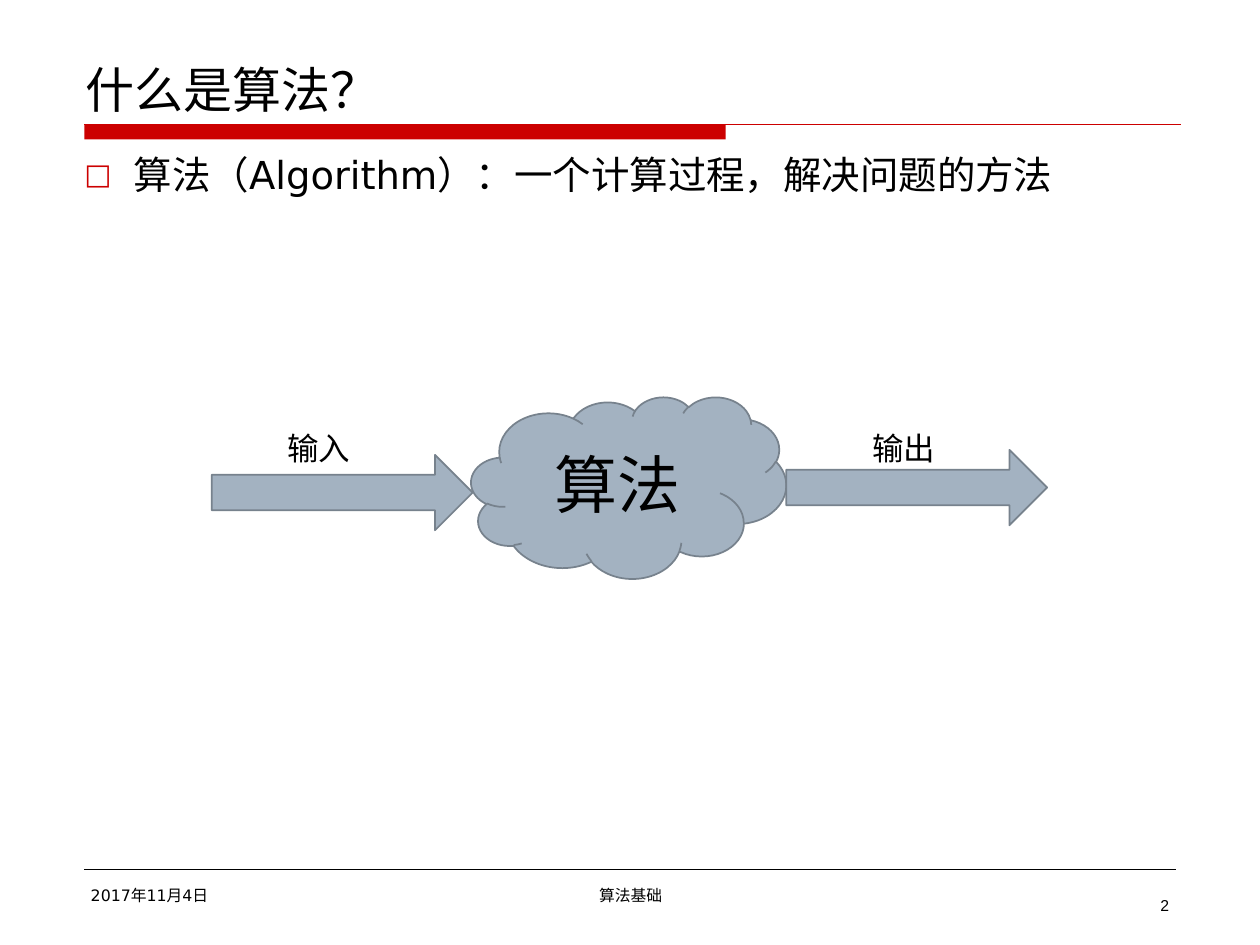
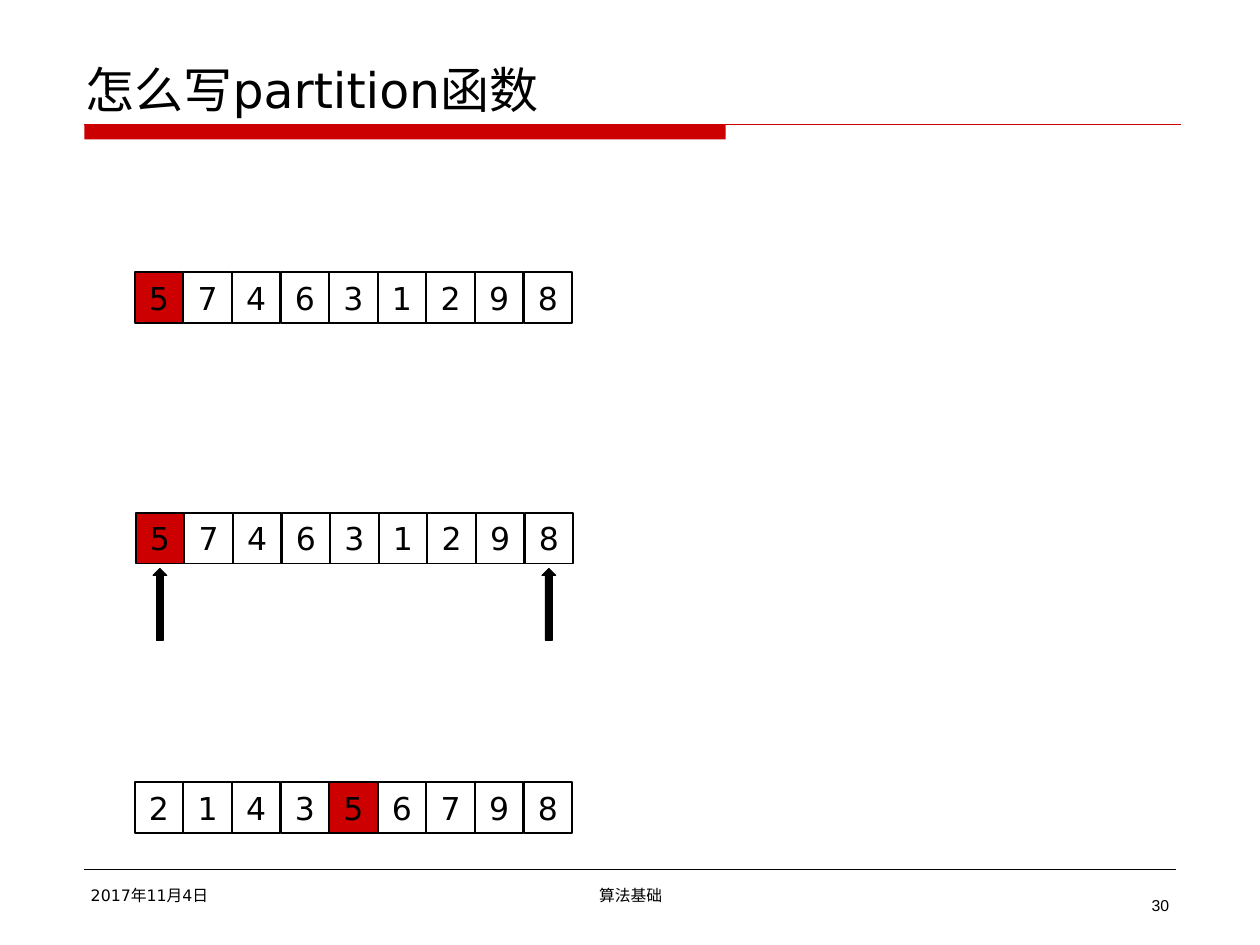
from dataclasses import dataclass

from lxml import etree
from pptx import Presentation
from pptx.dml.color import RGBColor
from pptx.enum.shapes import MSO_CONNECTOR, MSO_SHAPE
from pptx.enum.text import MSO_ANCHOR, MSO_AUTO_SIZE, PP_ALIGN
from pptx.oxml.ns import qn
from pptx.util import Cm, Pt

RECT, CLOUD = MSO_SHAPE.RECTANGLE, MSO_SHAPE.CLOUD
RIGHT_ARROW, UP_ARROW = MSO_SHAPE.RIGHT_ARROW, MSO_SHAPE.UP_ARROW
STRAIGHT = MSO_CONNECTOR.STRAIGHT
LEFT, CENTER, RIGHT = PP_ALIGN.LEFT, PP_ALIGN.CENTER, PP_ALIGN.RIGHT
TOP, MIDDLE, BOTTOM = MSO_ANCHOR.TOP, MSO_ANCHOR.MIDDLE, MSO_ANCHOR.BOTTOM
NO_AUTOSIZE = MSO_AUTO_SIZE.NONE

RED, BLACK, WHITE = "CC0000", "000000", "FFFFFF"
STEEL, STEEL_EDGE = "A3B2C1", "77828D"
LATIN, CJK, NUMBER_FONT = "DejaVu Sans", "Noto Sans CJK SC", "Arial"
INSET = 0.13

# Layouts of the default template
TITLE_AND_CONTENT, TITLE_ONLY = 1, 5

# Array cells, in cm
CELL_W, CELL_H, CELL_PITCH = 0.97, 1.02, 0.98
POINTER_W, POINTER_H, POINTER_DROP = 0.28, 1.45, 1.12


@dataclass(frozen=True)
class Box:
    left: float
    top: float
    width: float
    height: float

    def lengths(self) -> tuple:
        return Cm(self.left), Cm(self.top), Cm(self.width), Cm(self.height)


@dataclass(frozen=True)
class Label:
    text: str
    box: Box
    size: float
    align: PP_ALIGN = LEFT
    font: str = LATIN


@dataclass(frozen=True)
class ArrayRow:
    values: str
    pivot: int
    left: float
    top: float
    pointers: tuple = ()


FOOTERS = (
    Label("算法基础", Box(8.69, 17.73, 8.05, 0.71), 9, CENTER),
    Label("2017年11月4日", Box(1.7, 17.73, 5.51, 0.71), 9),
)
NUMBER_BOX = Box(22.7, 17.93, 1, 0.64)
TITLE_BOX = Box(1.6, 0.84, 22.23, 1.68)
BODY_BOX = Box(1.57, 2.92, 22.23, 13.79)

FLOW_ARROWS = (Box(4.27, 9.17, 5.26, 1.52), Box(15.85, 9.07, 5.26, 1.52))
FLOW_LABELS = (
    Label("输入", Box(5.66, 8.51, 2.01, 1.14), 18),
    Label("输出", Box(17.45, 8.51, 2.01, 1.14), 18),
)
ARRAY_ROWS = (
    ArrayRow("574631298", 0, 2.72, 5.49),
    ArrayRow("574631298", 0, 2.74, 10.34, (0, 8)),
    ArrayRow("214356798", 4, 2.72, 15.77),
)


def rgb(color: str) -> RGBColor:
    return RGBColor.from_string(color)


def write(sp, text: str, size: float, align=LEFT, anchor=TOP, font: str = LATIN):
    """Set one paragraph of text in a shape and return the paragraph."""
    tf = sp.text_frame
    tf.text = text
    tf.word_wrap = True
    tf.auto_size = NO_AUTOSIZE
    tf.vertical_anchor = anchor
    tf.margin_left = tf.margin_right = tf.margin_top = tf.margin_bottom = Cm(INSET)
    p = tf.paragraphs[0]
    p.alignment = align
    for r in p.runs:
        r.font.size = Pt(size)
        r.font.name = font
        r.font.color.rgb = rgb(BLACK)
        etree.SubElement(r.font._element, qn("a:ea"), typeface=CJK)
    return p


def add_label(s, label: Label) -> None:
    sp = s.shapes.add_textbox(*label.box.lengths())
    write(sp, label.text, label.size, label.align, font=label.font)


def add_shape(s, kind, box: Box, fill: str, line: str = "", weight: float = 1):
    sp = s.shapes.add_shape(kind, *box.lengths())
    sp.shadow.inherit = False
    sp.fill.solid()
    sp.fill.fore_color.rgb = rgb(fill)
    if line:
        sp.line.color.rgb = rgb(line)
        sp.line.width = Pt(weight)
    else:
        sp.line.fill.background()
    return sp


def add_rule(s, left: float, right: float, y: float, color: str, weight: float) -> None:
    line = s.shapes.add_connector(STRAIGHT, Cm(left), Cm(y), Cm(right), Cm(y))
    line.line.color.rgb = rgb(color)
    line.line.width = Pt(weight)
    etree.SubElement(line._element.spPr, qn("a:effectLst"))


def place(sp, box: Box) -> None:
    sp.left, sp.top, sp.width, sp.height = box.lengths()


def add_slide(prs, layout: int, title: str, number: int):
    """Add a slide with the shared title, red band and footers."""
    s = prs.slides.add_slide(prs.slide_layouts[layout])
    place(s.shapes.title, TITLE_BOX)
    write(s.shapes.title, title, 28, anchor=BOTTOM)
    add_shape(s, RECT, Box(1.7, 2.51, 12.93, 0.3), RED)
    add_rule(s, 1.7, 23.8, 2.51, RED, 0.75)
    add_rule(s, 1.7, 23.7, 17.53, BLACK, 0.25)
    for footer in FOOTERS:
        add_label(s, footer)
    add_label(s, Label(str(number), NUMBER_BOX, 9, RIGHT, NUMBER_FONT))
    return s


def add_bullet(p) -> None:
    """Give a paragraph a hanging red square bullet."""
    p.space_before = Pt(5)
    pPr = p._p.get_or_add_pPr()
    pPr.set("marL", str(Cm(1)))
    pPr.set("indent", str(-Cm(1)))
    color = etree.SubElement(pPr, qn("a:buClr"))
    etree.SubElement(color, qn("a:srgbClr"), val=RED)
    etree.SubElement(pPr, qn("a:buSzPct"), val="75000")
    etree.SubElement(pPr, qn("a:buFont"), typeface=LATIN)
    etree.SubElement(pPr, qn("a:buChar"), char="□")


def add_array(s, row: ArrayRow) -> None:
    for i, value in enumerate(row.values):
        left = row.left + i * CELL_PITCH
        fill = RED if i == row.pivot else WHITE
        cell = add_shape(s, RECT, Box(left, row.top, CELL_W, CELL_H), fill, BLACK)
        write(cell, value, 18, CENTER, MIDDLE)
    for i in row.pointers:
        left = row.left + i * CELL_PITCH + (CELL_W - POINTER_W) / 2
        box = Box(left, row.top + POINTER_DROP, POINTER_W, POINTER_H)
        add_shape(s, UP_ARROW, box, BLACK, BLACK, 0.5)


def build_definition(prs) -> None:
    s = add_slide(prs, TITLE_AND_CONTENT, "什么是算法？", 2)
    body = s.placeholders[1]
    place(body, BODY_BOX)
    add_bullet(write(body, "算法（Algorithm）：一个计算过程，解决问题的方法", 22))
    # Input, algorithm, output
    cloud = add_shape(s, CLOUD, Box(9.5, 8, 6.35, 3.66), STEEL, STEEL_EDGE)
    write(cloud, "算法", 36, CENTER, MIDDLE)
    for box in FLOW_ARROWS:
        arrow = add_shape(s, RIGHT_ARROW, box, STEEL, STEEL_EDGE)
        arrow.adjustments[0] = 0.47
    for label in FLOW_LABELS:
        add_label(s, label)


def build_partition(prs) -> None:
    s = add_slide(prs, TITLE_ONLY, "怎么写partition函数", 30)
    for row in ARRAY_ROWS:
        add_array(s, row)


def main() -> None:
    prs = Presentation()
    prs.slide_width, prs.slide_height = Cm(25.4), Cm(19.05)
    build_definition(prs)
    build_partition(prs)
    prs.save("out.pptx")


if __name__ == "__main__":
    main()
